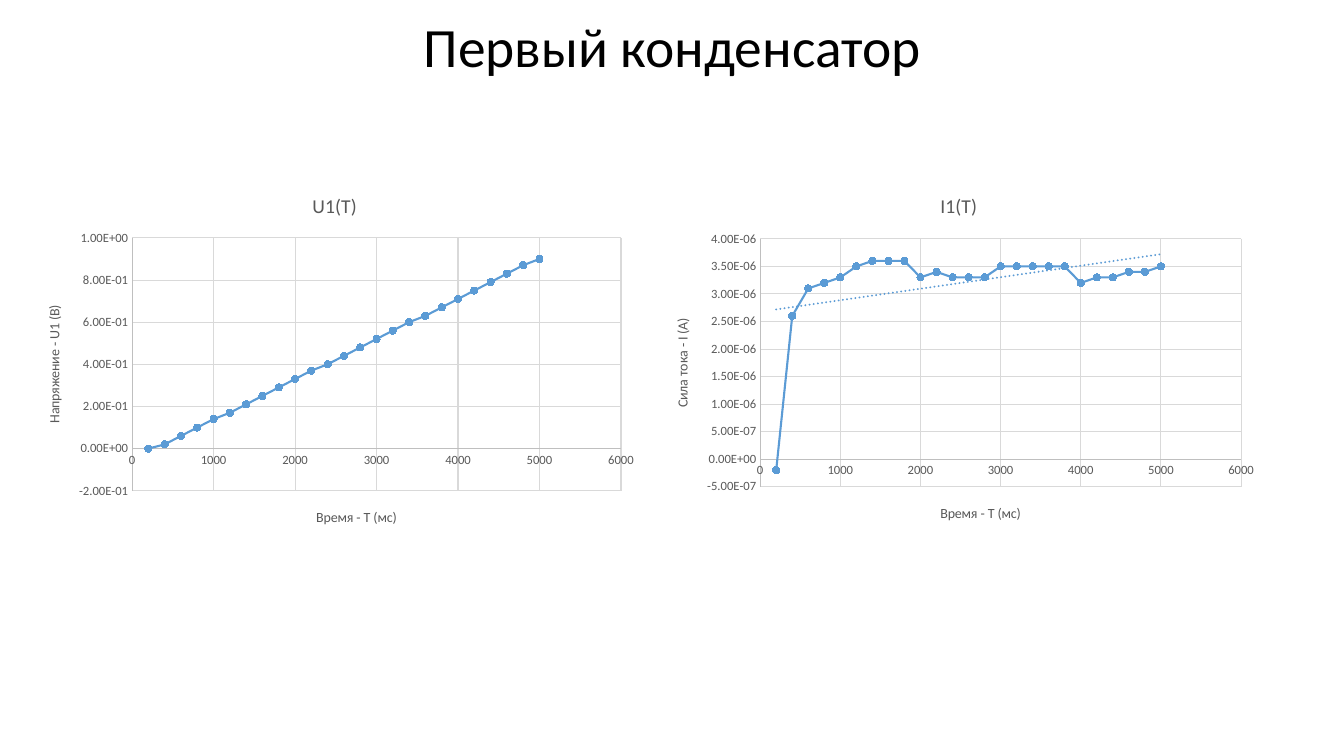
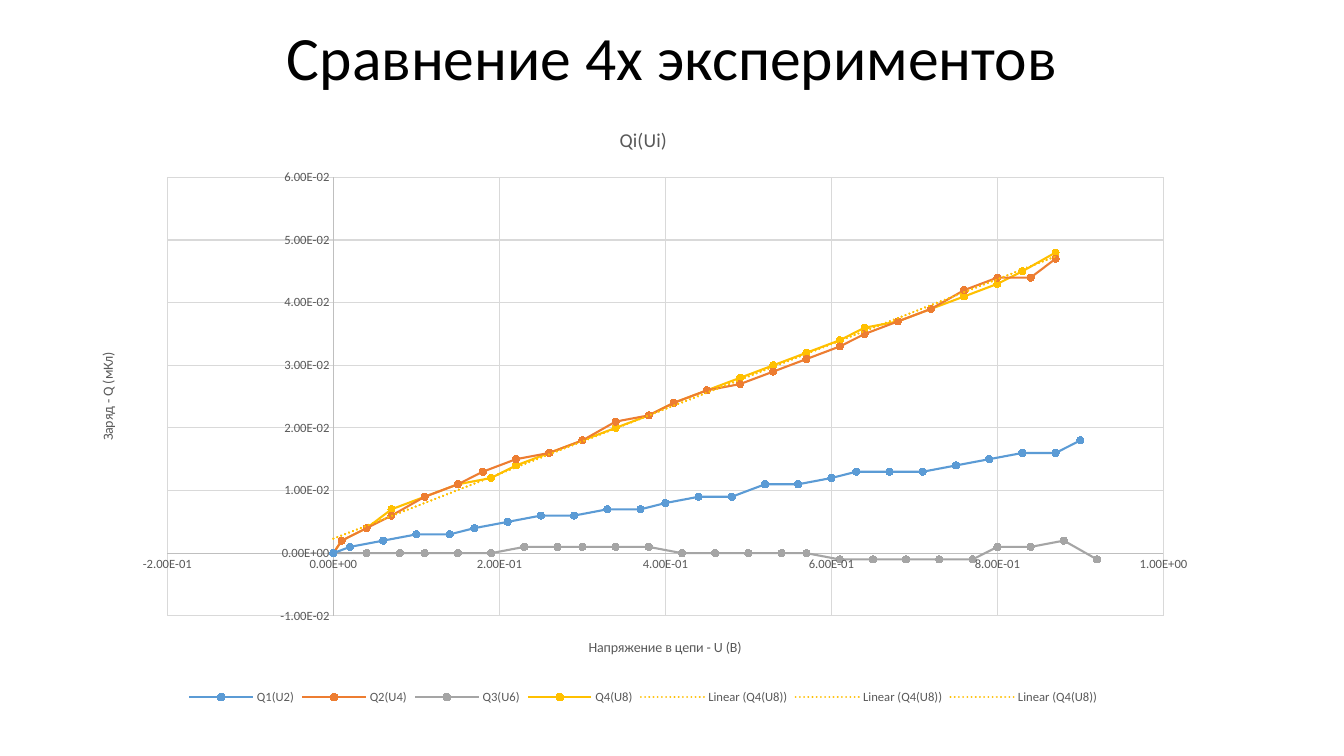
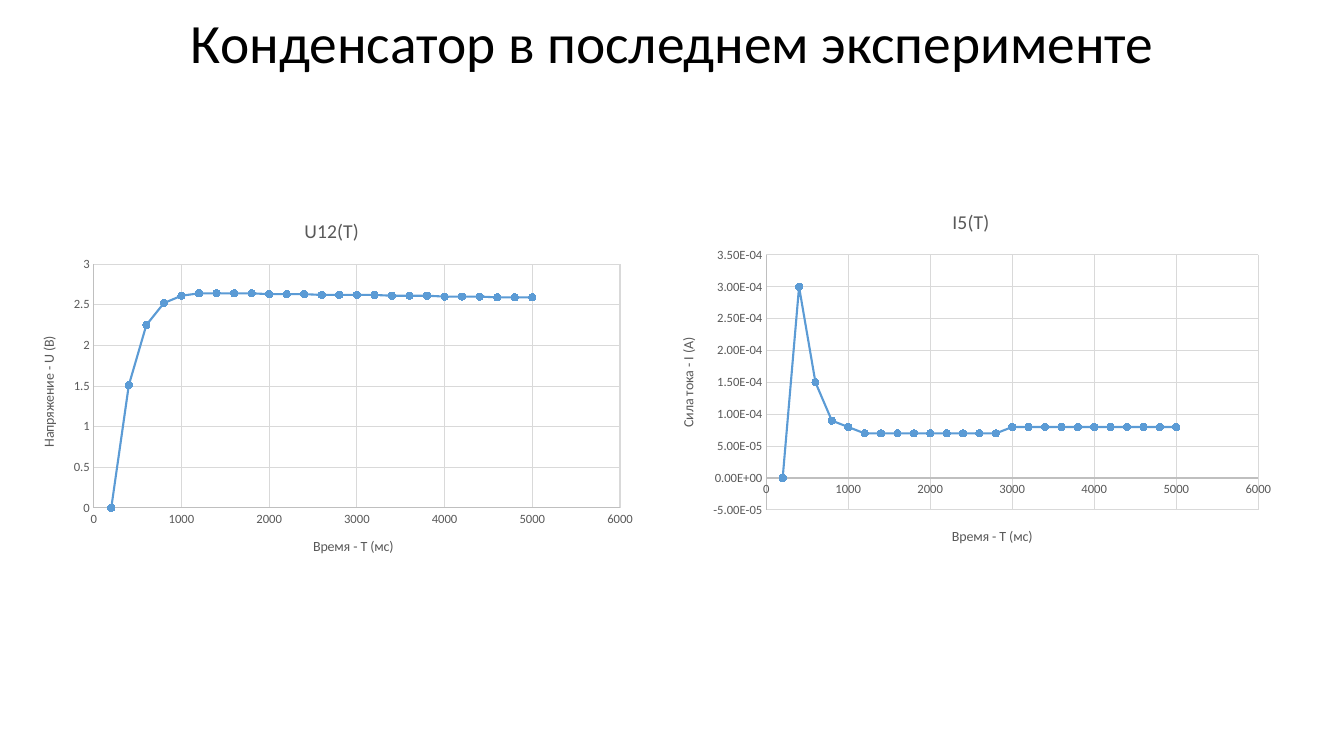
from dataclasses import dataclass

from lxml import etree
from pptx import Presentation
from pptx.chart.data import XyChartData
from pptx.dml.color import RGBColor
from pptx.enum.chart import XL_CHART_TYPE, XL_LEGEND_POSITION, XL_MARKER_STYLE, XL_TICK_MARK
from pptx.enum.text import MSO_ANCHOR, MSO_AUTO_SIZE, PP_ALIGN
from pptx.oxml import parse_xml
from pptx.oxml.ns import qn
from pptx.util import Inches, Pt


@dataclass(frozen=True)
class Theme:
    font: str = "Calibri"
    title: RGBColor = RGBColor(0, 0, 0)
    label: RGBColor = RGBColor.from_string("595959")
    axis: RGBColor = RGBColor.from_string("BFBFBF")
    grid: RGBColor = RGBColor.from_string("D9D9D9")
    series: tuple = ("5B9BD5", "ED7D31", "A5A5A5", "FFC000")
    chart_title_pt: float = 14
    axis_title_pt: float = 10
    label_pt: float = 9
    thin_pt: float = 0.75
    series_pt: float = 1.5
    marker_pt: int = 5


THEME = Theme()
SCI = "0.00E+00"
NS = ('xmlns:c="http://schemas.openxmlformats.org/drawingml/2006/chart" '
      'xmlns:a="http://schemas.openxmlformats.org/drawingml/2006/main"')
TRENDLINE = (
    '<c:trendline {ns}><c:spPr><a:ln w="{width}" cap="rnd"><a:solidFill>'
    '<a:srgbClr val="{color}"/></a:solidFill><a:prstDash val="sysDot"/></a:ln></c:spPr>'
    '<c:trendlineType val="linear"/><c:dispRSqr val="0"/><c:dispEq val="0"/></c:trendline>')

TIME = list(range(200, 5001, 200))
TIME_AXIS = ("Время - T (мс)", 0, 6000, 1000, "General")

U1 = [0, 0.02, 0.06, 0.1, 0.14, 0.17, 0.21, 0.25, 0.29, 0.33, 0.37, 0.4, 0.44, 0.48, 0.52,
      0.56, 0.6, 0.63, 0.67, 0.71, 0.75, 0.79, 0.83, 0.87, 0.9]
U4 = [0, 0.01, 0.04, 0.07, 0.11, 0.15, 0.18, 0.22, 0.26, 0.3, 0.34, 0.38, 0.41, 0.45, 0.49,
      0.53, 0.57, 0.61, 0.64, 0.68, 0.72, 0.76, 0.8, 0.84, 0.87]
U6 = [0, 0.04, 0.08, 0.11, 0.15, 0.19, 0.23, 0.27, 0.3, 0.34, 0.38, 0.42, 0.46, 0.5, 0.54,
      0.57, 0.61, 0.65, 0.69, 0.73, 0.77, 0.8, 0.84, 0.88, 0.92]
U8 = [0, 0.01, 0.04, 0.07, 0.11, 0.15, 0.19, 0.22, 0.26, 0.3, 0.34, 0.38, 0.41, 0.45, 0.49,
      0.53, 0.57, 0.61, 0.64, 0.68, 0.72, 0.76, 0.8, 0.83, 0.87]
U12 = [0, 1.51, 2.25, 2.52, 2.61, 2.64, 2.64, 2.64, 2.64, 2.63, 2.63, 2.63, 2.62, 2.62, 2.62,
       2.62, 2.61, 2.61, 2.61, 2.6, 2.6, 2.6, 2.59, 2.59, 2.59]
I1 = [-2e-07, 2.6e-06, 3.1e-06, 3.2e-06, 3.3e-06, 3.5e-06, 3.6e-06, 3.6e-06, 3.6e-06,
      3.3e-06, 3.4e-06, 3.3e-06, 3.3e-06, 3.3e-06, 3.5e-06, 3.5e-06, 3.5e-06, 3.5e-06,
      3.5e-06, 3.2e-06, 3.3e-06, 3.3e-06, 3.4e-06, 3.4e-06, 3.5e-06]
I5 = [0, 3e-04, 1.5e-04, 9e-05, 8e-05] + [7e-05] * 9 + [8e-05] * 11
Q1 = [0, 0.001, 0.002, 0.003, 0.003, 0.004, 0.005, 0.006, 0.006, 0.007, 0.007, 0.008, 0.009,
      0.009, 0.011, 0.011, 0.012, 0.013, 0.013, 0.013, 0.014, 0.015, 0.016, 0.016, 0.018]
Q2 = [0, 0.002, 0.004, 0.006, 0.009, 0.011, 0.013, 0.015, 0.016, 0.018, 0.021, 0.022, 0.024,
      0.026, 0.027, 0.029, 0.031, 0.033, 0.035, 0.037, 0.039, 0.042, 0.044, 0.044, 0.047]
Q3 = [0] * 6 + [0.001] * 5 + [0] * 5 + [-0.001] * 5 + [0.001, 0.001, 0.002, -0.001]
Q4 = [0, 0.002, 0.004, 0.007, 0.009, 0.011, 0.012, 0.014, 0.016, 0.018, 0.02, 0.022, 0.024,
      0.026, 0.028, 0.03, 0.032, 0.034, 0.036, 0.037, 0.039, 0.041, 0.043, 0.045, 0.048]

# Boxes are left, top, width, height in inches on the slide.
# Axes are title, minimum, maximum, major unit, number format.
# Series are name, x values, y values, number of trend lines.
SLIDES = [
    dict(title="Первый конденсатор", box=(0.92, 0.17, 11.5, 0.65), size=39.6, charts=[
        dict(title="U1(T)", box=(0.23, 1.74, 6.18, 3.71), plot=(1.31, 2.36, 4.85, 2.51),
             x=TIME_AXIS, y=("Напряжение - U1 (B)", -0.2, 1, 0.2, SCI),
             series=[("Series 1", TIME, U1, 0)]),
        dict(title="I1(T)", box=(6.46, 1.75, 6.1, 3.66), plot=(7.54, 2.37, 4.77, 2.46),
             x=TIME_AXIS, y=("Сила тока - I (А)", -5e-07, 4e-06, 5e-07, SCI),
             series=[("Series 1", TIME, I1, 1)]),
    ]),
    dict(title="Сравнение 4х экспериментов", box=(0.92, 0.1, 11.5, 1), size=44, charts=[
        dict(title="Qi(Ui)", box=(0.76, 1.04, 11.24, 5.99), plot=(1.66, 1.76, 9.88, 4.35),
             x=("Напряжение в цепи - U (В)", -0.2, 1, 0.2, SCI),
             y=("Заряд - Q (мКл)", -0.01, 0.06, 0.01, SCI),
             series=[("Q1(U2)", U1, Q1, 0), ("Q2(U4)", U4, Q2, 0),
                     ("Q3(U6)", U6, Q3, 0), ("Q4(U8)", U8, Q4, 3)]),
    ]),
    dict(title="Конденсатор в последнем эксперименте", box=(0.92, 0.08, 11.5, 0.74), size=39.6,
         charts=[
        dict(title="U12(T)", box=(0.18, 1.99, 6.22, 3.73), plot=(0.93, 2.62, 5.22, 2.42),
             x=TIME_AXIS, y=("Напряжение - U (B)", 0, 3, 0.5, "General"),
             series=[("Series 1", TIME, U12, 0)]),
        dict(title="I5(T)", box=(6.52, 1.9, 6.22, 3.73), plot=(7.6, 2.53, 4.88, 2.53),
             x=TIME_AXIS, y=("Сила тока - I (A)", -5e-05, 3.5e-04, 5e-05, SCI),
             series=[("Series 1", TIME, I5, 0)]),
    ]),
]


def style_font(font, size, color=THEME.label):
    font.name, font.size, font.bold = THEME.font, Pt(size), False
    font.color.rgb = color


def set_plot_box(chart, box, plot):
    """Fix the inner plot area, given in slide inches, as fractions of the chart."""
    area = chart.plots[0]._element.getparent()
    for old in area.findall(qn("c:layout")):
        area.remove(old)
    layout = etree.Element(qn("c:layout"))
    manual = etree.SubElement(layout, qn("c:manualLayout"))
    values = [("layoutTarget", "inner"), ("xMode", "edge"), ("yMode", "edge"),
              ("x", (plot[0] - box[0]) / box[2]), ("y", (plot[1] - box[1]) / box[3]),
              ("w", plot[2] / box[2]), ("h", plot[3] / box[3])]
    for tag, value in values:
        etree.SubElement(manual, qn(f"c:{tag}")).set("val", str(value))
    area.insert(0, layout)


prs = Presentation()
prs.slide_width, prs.slide_height = Inches(13.33), Inches(7.5)
title_only = prs.slide_layouts[5]

for page in SLIDES:
    s = prs.slides.add_slide(title_only)
    title = s.shapes.title
    title.left, title.top, title.width, title.height = map(Inches, page["box"])
    tf = title.text_frame
    tf.text = page["title"]
    tf.auto_size = MSO_AUTO_SIZE.NONE
    tf.vertical_anchor = MSO_ANCHOR.MIDDLE
    p = tf.paragraphs[0]
    p.alignment = PP_ALIGN.CENTER
    p.line_spacing = 0.9
    style_font(p.font, page["size"], THEME.title)

    for item in page["charts"]:
        data = XyChartData()
        for name, xs, ys, _ in item["series"]:
            points = data.add_series(name)
            for x, y in zip(xs, ys):
                points.add_data_point(x, y)
        chart = s.shapes.add_chart(
            XL_CHART_TYPE.XY_SCATTER_LINES, *map(Inches, item["box"]), data).chart
        style_font(chart.font, THEME.label_pt)
        chart.plots[0].vary_by_categories = False
        set_plot_box(chart, item["box"], item["plot"])

        chart.has_title = True
        tf = chart.chart_title.text_frame
        tf.text = item["title"]
        style_font(tf.paragraphs[0].font, THEME.chart_title_pt)
        chart.chart_title.include_in_layout = False

        chart.has_legend = len(item["series"]) > 1
        if chart.has_legend:
            chart.legend.position = XL_LEGEND_POSITION.BOTTOM
            chart.legend.include_in_layout = False
            style_font(chart.legend.font, THEME.label_pt)

        axes = [(chart.category_axis, item["x"], 0), (chart.value_axis, item["y"], -90)]
        for axis, (text, low, high, step, number_format), angle in axes:
            axis.minimum_scale, axis.maximum_scale, axis.major_unit = low, high, step
            axis.major_tick_mark = axis.minor_tick_mark = XL_TICK_MARK.NONE
            axis.has_major_gridlines = True
            for line, color in [(axis.format.line, THEME.axis),
                                (axis.major_gridlines.format.line, THEME.grid)]:
                line.width = Pt(THEME.thin_pt)
                line.color.rgb = color
            labels = axis.tick_labels
            labels.number_format, labels.number_format_is_linked = number_format, False
            style_font(labels.font, THEME.label_pt)
            tf = axis.axis_title.text_frame
            tf.text = text
            style_font(tf.paragraphs[0].font, THEME.axis_title_pt)
            body = tf._txBody.find(qn("a:bodyPr"))
            body.set("rot", str(angle * 60000))
            body.set("vert", "horz")

        for series, color, (_, _, _, trends) in zip(
                chart.plots[0].series, THEME.series, item["series"]):
            rgb = RGBColor.from_string(color)
            series.smooth = False
            series.format.line.width = Pt(THEME.series_pt)
            series.format.line.color.rgb = rgb
            marker = series.marker
            marker.style, marker.size = XL_MARKER_STYLE.CIRCLE, THEME.marker_pt
            marker.format.fill.solid()
            marker.format.fill.fore_color.rgb = rgb
            marker.format.line.color.rgb = rgb
            x_values = series._element.find(qn("c:xVal"))
            for _ in range(trends):
                x_values.addprevious(parse_xml(TRENDLINE.format(
                    ns=NS, width=Pt(THEME.series_pt), color=color)))

prs.save("out.pptx")
